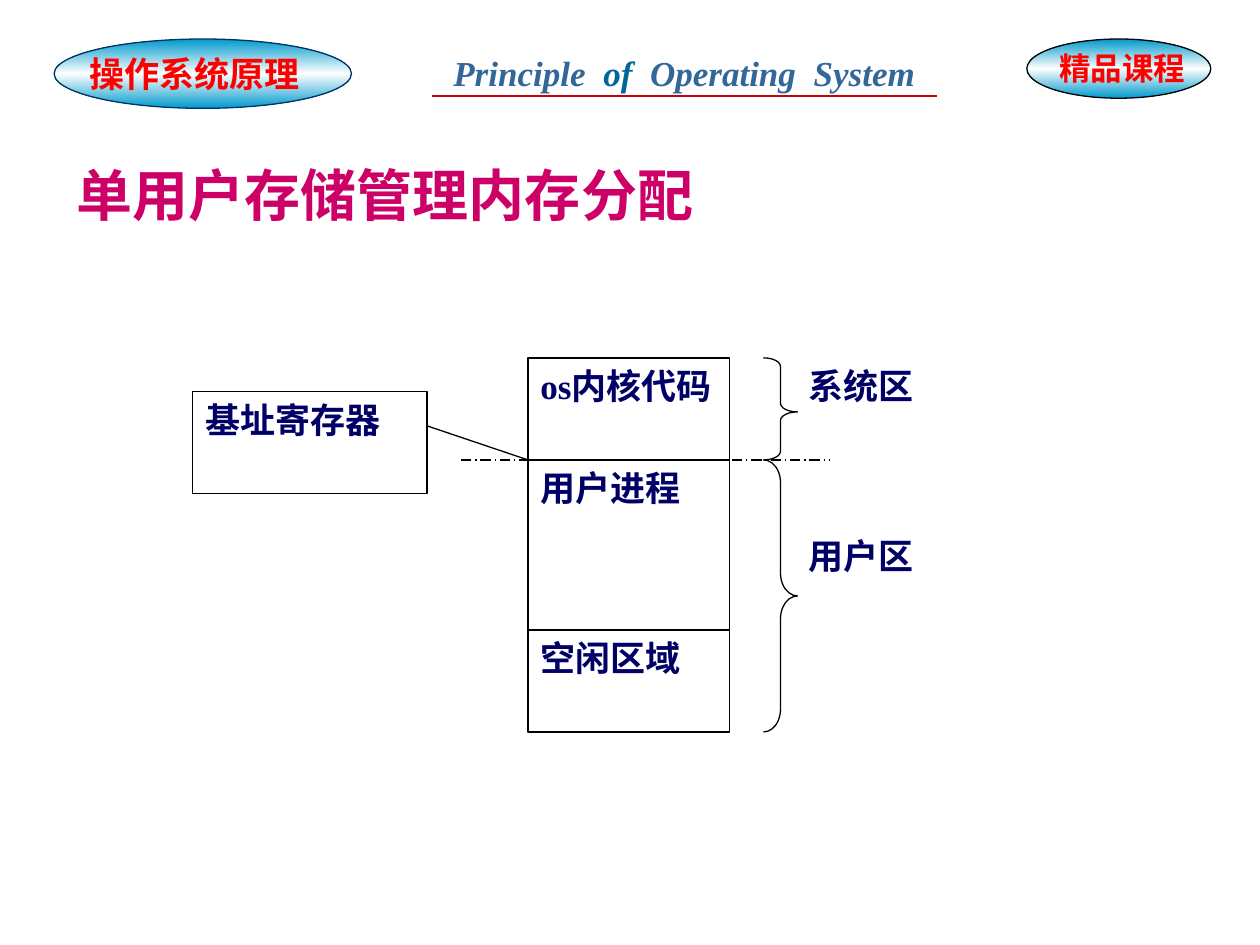
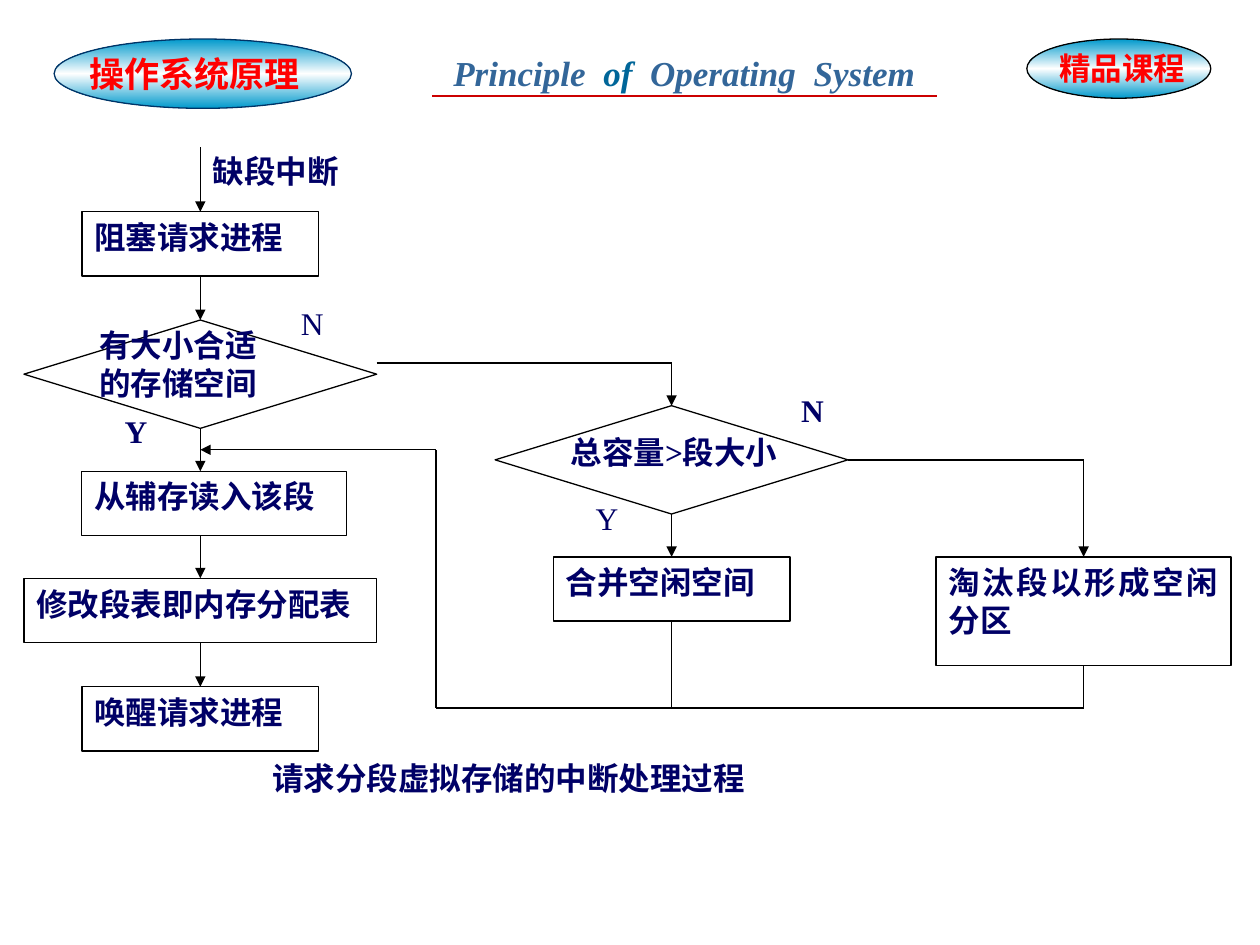
from copy import deepcopy

from lxml import etree
from pptx import Presentation
from pptx import util as u
from pptx.dml.color import RGBColor
from pptx.enum import dml, shapes, text
from pptx.oxml import ns

COLORS = {
    "ink": "000066", "line": "000000", "title": "CC0066", "badge_text": "FF0000",
    "badge_edge": "0099CC", "badge_mid": "FFFFFF", "badge_line": "003366",
    "course": "336699", "of": "006699", "rule": "CC0000",
}
SERIF, SANS, CJK = "Times New Roman", "Arial", "Noto Sans CJK JP"
TOP, BOTTOM, RIGHT = 0, 2, 3
LEFT_ALIGN, JUSTIFY = text.PP_ALIGN.LEFT, text.PP_ALIGN.JUSTIFY


def rgb(name):
    return RGBColor.from_string(COLORS[name])


def inches(*values):
    return [u.Inches(value) for value in values]


def write(shape, paragraphs, size=20, color="ink", font=SERIF, bold=True, italic=False,
          align=JUSTIFY, wrap=True, indent=0):
    """Fill a shape; each paragraph is a string or a list of (text, color, spacing)."""
    frame = shape.text_frame
    frame.word_wrap = wrap
    frame.auto_size = text.MSO_AUTO_SIZE.NONE
    frame.vertical_anchor = text.MSO_ANCHOR.TOP
    for index, runs in enumerate(paragraphs):
        para = frame.paragraphs[0] if index == 0 else frame.add_paragraph()
        para.alignment = align
        if indent:
            para.level = 1
            properties = para._p.get_or_add_pPr()
            properties.set("marL", str(u.Inches(indent)))
            properties.set("indent", "0")
        if isinstance(runs, str):
            runs = [(runs, color, 0)]
        for content, run_color, spacing in runs:
            run = para.add_run()
            run.text = content
            run.font.size = u.Pt(size)
            run.font.bold, run.font.italic = bold, italic
            run.font.color.rgb = rgb(run_color)
            run.font.name = font
            properties = run._r.get_or_add_rPr()
            etree.SubElement(properties, ns.qn("a:ea"), typeface=CJK)
            if spacing:
                properties.set("spc", str(spacing * 100))


class Deck:
    """Holds the shared style and the slide being built."""

    def __init__(self):
        self.prs = Presentation()
        self.prs.slide_width, self.prs.slide_height = inches(10, 7.5)
        self.slide = None
        self.size = 20

    def new_slide(self, size):
        self.slide = self.prs.slides.add_slide(self.prs.slide_layouts[5])
        self.size = size
        self.header()

    def header(self):
        self.badge((0.43, 0.31, 2.36, 0.55), "badge_line")
        self.label((0.61, 0.37, 1.87, 0.44), "操作系统原理", size=20, color="badge_text",
                   align=LEFT_ALIGN, wrap=False)
        gap = (" ", "course", 5)
        course = [("Principle", "course", 0), gap, ("of", "of", 0), gap,
                  ("Operating", "course", 0), gap, ("System", "course", 0)]
        self.label((3.5, 0.36, 3.93, 0.44), course, size=20, italic=True,
                   align=LEFT_ALIGN, wrap=False)
        self.line((3.43, 0.76), (7.44, 0.76), color="rule", width=1)
        self.badge((8.15, 0.31, 1.46, 0.47), "line")
        self.label((8.31, 0.34, 1.38, 0.4), "精品课程", size=18, color="badge_text",
                   font=SANS, align=LEFT_ALIGN)

    def title(self, at, content, **style):
        title = self.slide.shapes.title
        title.left, title.top, title.width, title.height = inches(*at)
        write(title, [content], **style)

    def outline(self, kind, at, line="line"):
        shape = self.slide.shapes.add_shape(kind, *inches(*at))
        shape.shadow.inherit = False
        shape.fill.background()
        shape.line.color.rgb = rgb(line)
        shape.line.width = u.Pt(0.75)
        return shape

    def badge(self, at, line):
        oval = self.outline(shapes.MSO_SHAPE.OVAL, at, line)
        oval.fill.gradient()
        oval.fill.gradient_angle = 90
        stops = oval._element.spPr.find(".//" + ns.qn("a:gsLst"))
        stops.insert(1, deepcopy(stops[0]))
        names = ("badge_edge", "badge_mid", "badge_edge")
        for stop, position, name in zip(oval.fill.gradient_stops, (0, 0.5, 1), names):
            stop.position = position
            stop.color.rgb = rgb(name)

    def box(self, at, content):
        box = self.outline(shapes.MSO_SHAPE.RECTANGLE, at)
        write(box, [content], size=self.size)
        return box

    def decision(self, at):
        return self.outline(shapes.MSO_SHAPE.FLOWCHART_DECISION, at)

    def brace(self, at, curve, tip):
        brace = self.outline(shapes.MSO_SHAPE.RIGHT_BRACE, at)
        brace.adjustments[0], brace.adjustments[1] = curve, tip

    def label(self, at, *paragraphs, **style):
        label = self.slide.shapes.add_textbox(*inches(*at))
        write(label, paragraphs, **{"size": self.size, **style})

    def line(self, start, end, arrow=False, dash=None, color="line", width=0.75):
        """Draw from start to end, each given as (x, y) or as (shape, side)."""
        joined = [hasattr(point[0], "shape_id") for point in (start, end)]
        ends = [(0, 0) if join else point for point, join in zip((start, end), joined)]
        line = self.slide.shapes.add_connector(
            shapes.MSO_CONNECTOR.STRAIGHT, *inches(*ends[0], *ends[1]))
        if joined[0]:
            line.begin_connect(*start)
        if joined[1]:
            line.end_connect(*end)
        line.line.color.rgb = rgb(color)
        line.line.width = u.Pt(width)
        if dash:
            line.line.dash_style = dash
        if arrow:
            etree.SubElement(line.line._get_or_add_ln(), ns.qn("a:tailEnd"), type="triangle")
        etree.SubElement(line._element.spPr, ns.qn("a:effectLst"))


def memory_layout(deck):
    deck.new_slide(size=20)
    deck.title((0.51, 1.22, 5.19, 0.64), "单用户存储管理内存分配", size=32, color="title",
               font=CJK, align=LEFT_ALIGN)
    top = 2.84
    for content, height in (("os内核代码", 0.81), ("用户进程", 1.35), ("空闲区域", 0.81)):
        deck.box((4.19, top, 1.6, height), content)
        top += height
    deck.brace((6.06, 2.84, 0.27, 0.81), 0.25, 0.53)
    deck.brace((6.06, 3.65, 0.27, 2.16), 0.67, 0.5)
    for content, top in (("系统区", 2.84), ("用户区", 4.19)):
        deck.label((6.32, top, 1.33, 0.81), content)
    deck.line((3.66, 3.65), (6.59, 3.65), dash=dml.MSO_LINE.LONG_DASH_DOT)
    deck.box((1.53, 3.11, 1.86, 0.81), "基址寄存器")
    deck.line((3.39, 3.38), (4.19, 3.65))


def segment_fault_flow(deck):
    deck.new_slide(size=18)
    main_x, merge_x, evict_x, return_x = 1.59, 5.33, 8.6, 3.46
    return_y, collect_y = 3.57, 5.62

    block = deck.box((0.65, 1.68, 1.88, 0.51), "阻塞请求进程")
    has_space = deck.decision((0.19, 2.54, 2.8, 0.86))
    deck.label((0.19, 2.54, 2.8, 0.86), "有大小合适", "的存储空间", indent=0.5)
    deck.box((0.65, 3.74, 2.1, 0.51), "从辅存读入该段")
    update = deck.box((0.19, 4.59, 2.8, 0.51), "修改段表即内存分配表")
    wake = deck.box((0.65, 5.45, 1.88, 0.51), "唤醒请求进程")
    enough = deck.decision((3.93, 3.22, 2.8, 0.86))
    deck.label((3.93, 3.39, 2.8, 0.51), "总容量>段大小", indent=0.5)
    merge = deck.box((4.39, 4.42, 1.88, 0.51), "合并空闲空间")
    evict = deck.box((7.43, 4.42, 2.34, 0.86), "淘汰段以形成空闲分区")

    arrows = [
        ((main_x, 1.17), (block, TOP)),
        ((block, BOTTOM), (has_space, TOP)),
        ((has_space, BOTTOM), (main_x, 3.74)),
        ((main_x, 4.25), (update, TOP)),
        ((update, BOTTOM), (wake, TOP)),
        ((merge_x, 2.88), (enough, TOP)),
        ((enough, BOTTOM), (merge, TOP)),
        ((evict_x, 3.65), (evict, TOP)),
        ((return_x, return_y), (main_x, return_y)),
    ]
    plain_lines = [
        ((2.99, 2.88), (merge_x, 2.88)),
        ((enough, RIGHT), (evict_x, 3.65)),
        ((merge, BOTTOM), (merge_x, collect_y)),
        ((evict, BOTTOM), (evict_x, collect_y)),
        ((return_x, collect_y), (evict_x, collect_y)),
        ((return_x, return_y), (return_x, collect_y)),
    ]
    for start, end in arrows:
        deck.line(start, end, arrow=True)
    for start, end in plain_lines:
        deck.line(start, end)

    for answer, left, top, bold in (("Y", 0.89, 3.22, True), ("Y", 4.63, 3.91, False),
                                    ("N", 2.29, 2.36, False), ("N", 6.26, 3.05, True)):
        deck.label((left, top, 0.47, 0.51), answer, bold=bold)
    deck.label((1.59, 1.16, 2.34, 0.51), "缺段中断")
    deck.title((2.06, 5.97, 5.14, 0.51), "请求分段虚拟存储的中断处理过程", size=18)


def main():
    deck = Deck()
    memory_layout(deck)
    segment_fault_flow(deck)
    deck.prs.save("out.pptx")


if __name__ == "__main__":
    main()
